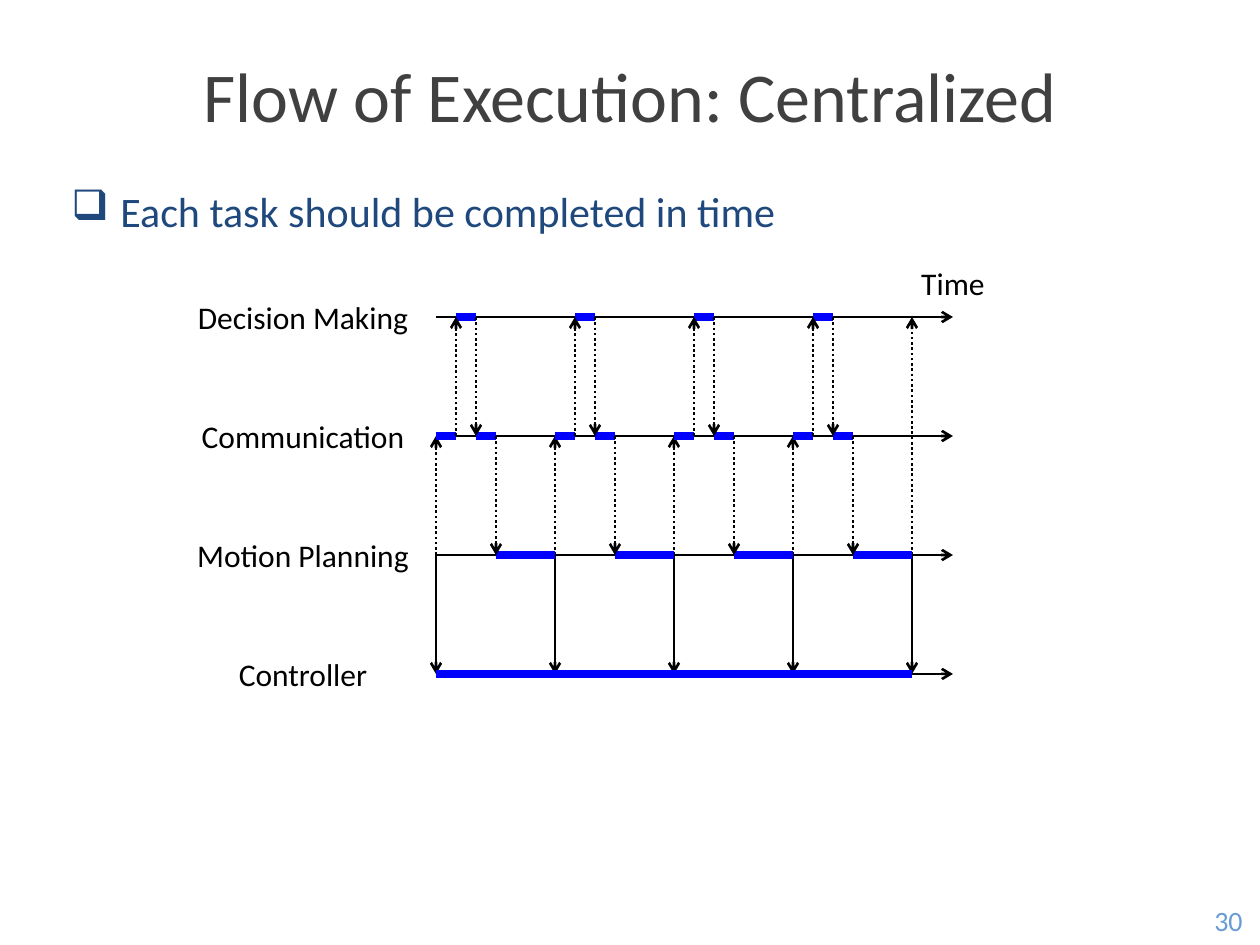
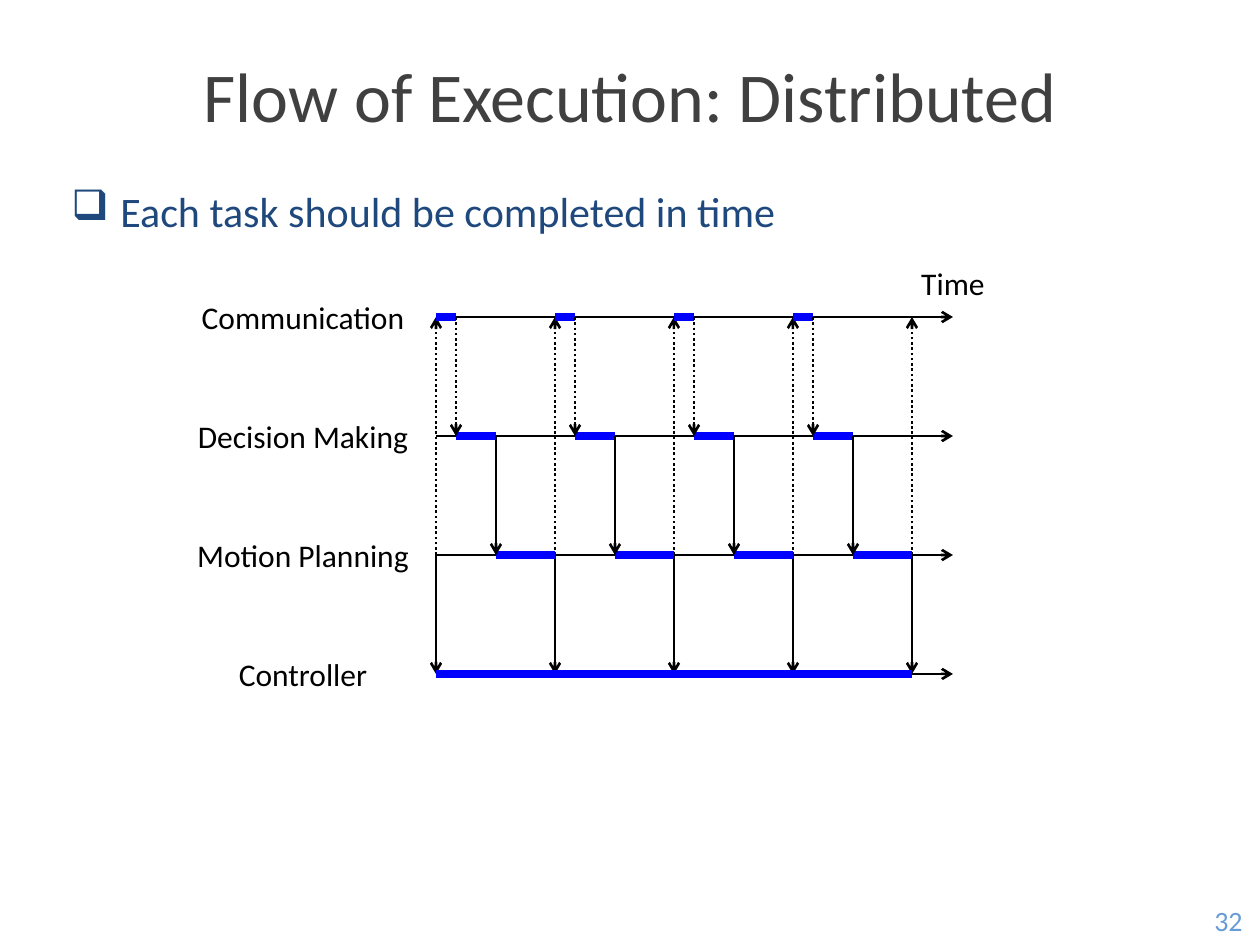
from lxml import etree
from pptx import Presentation
from pptx.dml.color import RGBColor
from pptx.enum.dml import MSO_LINE
from pptx.enum.shapes import MSO_CONNECTOR
from pptx.enum.text import MSO_ANCHOR, PP_ALIGN
from pptx.oxml.ns import qn
from pptx.util import Pt

SCALE = 914400 / 126
FONT = "Calibri"
TITLE_GRAY = RGBColor(0x40, 0x40, 0x40)
BODY_BLUE = RGBColor(0x1F, 0x49, 0x7D)
NUMBER_BLUE = RGBColor(0x67, 0x9C, 0xD6)
BLACK = RGBColor(0, 0, 0)
TASK_BLUE = RGBColor(0, 0, 0xFF)
STRAIGHT = MSO_CONNECTOR.STRAIGHT
DOTTED = MSO_LINE.ROUND_DOT
CENTER, LEFT = PP_ALIGN.CENTER, PP_ALIGN.LEFT
MIDDLE, TOP = MSO_ANCHOR.MIDDLE, MSO_ANCHOR.TOP

ORIGIN_X, ORIGIN_Y = 436, 317
PERIOD, ROW_STEP, TICK = 119, 119, 20
AXIS_END = 953
CYCLES = 4
MOTION_ROW, CONTROLLER_ROW = 2, 3


def emu(pixels):
    return round(pixels * SCALE)


def row_y(row):
    return ORIGIN_Y + row * ROW_STEP


def time_x(cycle, tick=0):
    return ORIGIN_X + cycle * PERIOD + tick * TICK


class Deck:
    def __init__(self):
        self.presentation = Presentation()
        self.presentation.slide_width = emu(1260)
        self.presentation.slide_height = emu(945)
        self.slide = None

    def text(self, text, box, size, color, align=CENTER, anchor=MIDDLE, inset=True):
        shape = self.slide.shapes.add_textbox(*map(emu, box))
        frame = shape.text_frame
        frame.word_wrap = True
        frame.vertical_anchor = anchor
        if not inset:
            frame.margin_left = frame.margin_right = 0
            frame.margin_top = frame.margin_bottom = 0
        paragraph = frame.paragraphs[0]
        paragraph.alignment = align
        run = paragraph.add_run()
        run.text = text
        run.font.size = Pt(size)
        run.font.name = FONT
        run.font.color.rgb = color
        return paragraph

    def bullet(self, text, box):
        paragraph = self.text(text, box, 24, BODY_BLUE, LEFT, TOP)
        properties = paragraph._p.get_or_add_pPr()
        properties.set("marL", str(emu(49)))
        properties.set("indent", str(-emu(49)))
        etree.SubElement(properties, qn("a:buChar")).set("char", "❑")

    def line(self, start, end, color=BLACK, width=1.5, arrow=True, dotted=False):
        connector = self.slide.shapes.add_connector(STRAIGHT, *map(emu, start + end))
        connector.line.color.rgb = color
        connector.line.width = Pt(width)
        if dotted:
            connector.line.dash_style = DOTTED
        if arrow:
            outline = connector.line._get_or_add_ln()
            etree.SubElement(outline, qn("a:tailEnd")).set("type", "arrow")
        etree.SubElement(connector._element.spPr, qn("a:effectLst"))

    def message(self, x, from_row, to_row, dotted):
        self.line((x, row_y(from_row)), (x, row_y(to_row)), dotted=dotted)

    def task(self, row, start_x, end_x):
        y = row_y(row)
        self.line((start_x, y), (end_x, y), TASK_BLUE, 5, arrow=False)

    def start_slide(self, title, number):
        layout = self.presentation.slide_layouts[6]
        self.slide = self.presentation.slides.add_slide(layout)
        self.text(title, (59, 35, 1142, 118), 40, TITLE_GRAY)
        self.bullet("Each task should be completed in time", (59, 179, 1142, 714))
        self.text(number, (1197, 895, 63, 50), 16, NUMBER_BLUE)

    def timeline(self, labels, tasks, messages, boundary_rows):
        for row, label in enumerate(labels):
            y = row_y(row)
            self.line((ORIGIN_X, y), (AXIS_END, y))
            self.text(label, (179, y - 25, 248, 50), 18, BLACK, inset=False)
        self.text("Time", (903, 258, 100, 50), 18, BLACK, inset=False)
        for cycle, target_row in enumerate(boundary_rows):
            x = time_x(cycle)
            self.message(x, MOTION_ROW, CONTROLLER_ROW, False)
            self.message(x, MOTION_ROW, target_row, True)
        self.task(CONTROLLER_ROW, time_x(0), time_x(CYCLES))
        for cycle in range(CYCLES):
            for row, start, end in tasks:
                self.task(row, time_x(cycle, start), time_x(cycle, end))
            self.task(MOTION_ROW, time_x(cycle, 3), time_x(cycle + 1))
            for tick, from_row, to_row, dotted in messages:
                self.message(time_x(cycle, tick), from_row, to_row, dotted)


deck = Deck()

deck.start_slide("Flow of Execution: Centralized", "30")
deck.timeline(
    labels=["Decision Making", "Communication", "Motion Planning", "Controller"],
    tasks=[(1, 0, 1), (0, 1, 2), (1, 2, 3)],
    messages=[(1, 1, 0, True), (2, 0, 1, True), (3, 1, 2, True)],
    boundary_rows=[1] * CYCLES + [0],
)

deck.start_slide("Flow of Execution: Distributed", "32")
deck.timeline(
    labels=["Communication", "Decision Making", "Motion Planning", "Controller"],
    tasks=[(0, 0, 1), (1, 1, 3)],
    messages=[(1, 0, 1, True), (3, 1, 2, False)],
    boundary_rows=[0] * (CYCLES + 1),
)

deck.presentation.save("out.pptx")
